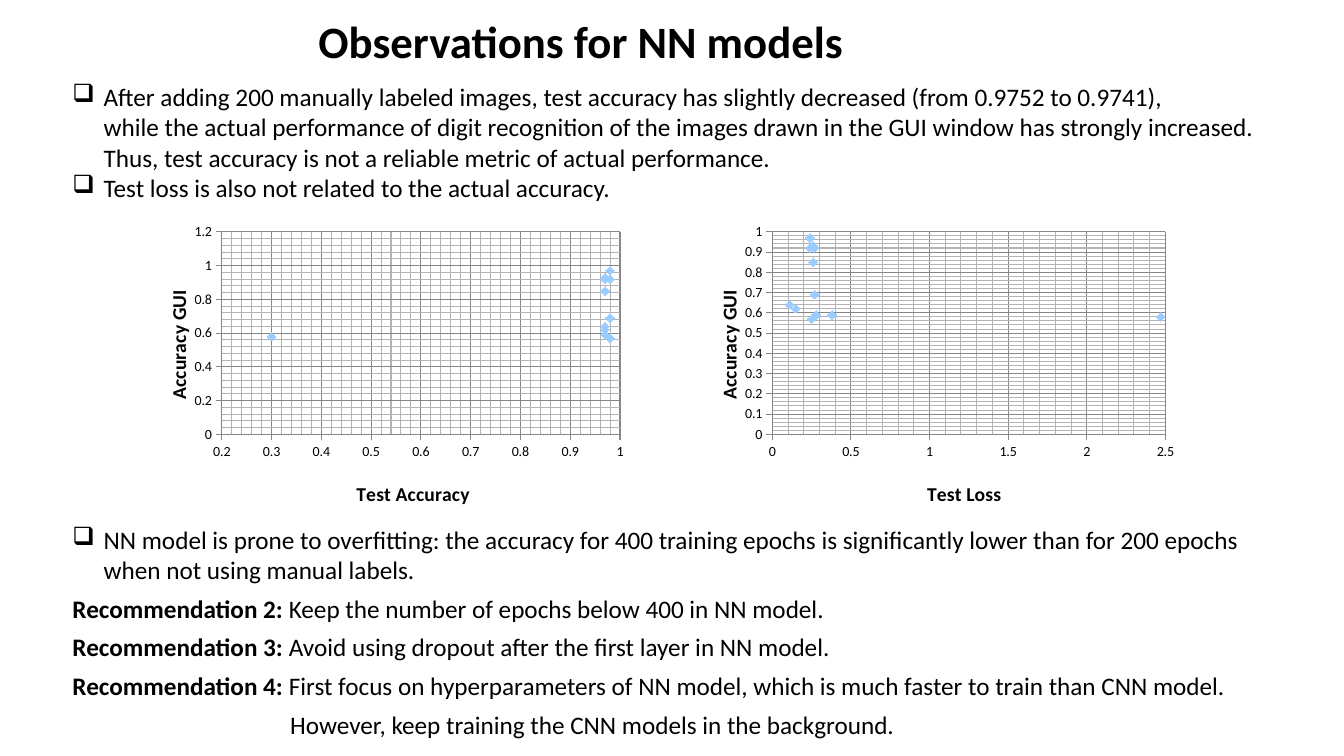
from lxml import etree
from pptx import Presentation
from pptx import util as u
from pptx.chart.data import XyChartData
from pptx.dml.color import RGBColor
from pptx.enum import chart as ch, text as tx
from pptx.oxml.ns import qn

PX = 9144
FONT = "Calibri"
BLACK, BLUE, MAJOR, MINOR = "000000", "99CCFF", "868686", "B3B3B3"
GUI = [0.69, 0.59, 0.57, 0.62, 0.64, 0.58, 0.85, 0.92, 0.92, 0.97, 0.93, 0.59]
ACC = [0.98, 0.97, 0.98, 0.97, 0.97, 0.3, 0.97, 0.98, 0.97, 0.98, 0.97, 0.97]
LOSS = [0.27, 0.28, 0.25, 0.15, 0.11, 2.47, 0.26, 0.24, 0.27, 0.24, 0.26, 0.38]


def px(n):
    return u.Emu(n * PX)


def color(code):
    return RGBColor.from_string(code)


def style(font, size, bold=False):
    font.name, font.size, font.bold = FONT, u.Pt(size), bold
    font.color.rgb = color(BLACK)


def add_run(para, words, size, bold=False):
    run = para.add_run()
    run.text = words
    style(run.font, size, bold)


def add_box(slide, left, top, width, height):
    frame = slide.shapes.add_textbox(px(left), px(top), px(width), px(height)).text_frame
    frame.word_wrap = False
    frame.auto_size = tx.MSO_AUTO_SIZE.SHAPE_TO_FIT_TEXT
    return frame


def add_para(frame, first=False):
    return frame.paragraphs[0] if first else frame.add_paragraph()


def add_bullet(frame, lines, first=False):
    para = add_para(frame, first)
    props = para._p.get_or_add_pPr()
    props.set("marL", str(px(31)))
    props.set("indent", str(-px(31)))
    etree.SubElement(props, qn("a:buChar")).set("char", "❑")
    for i, line in enumerate(lines):
        if i:
            para.add_line_break()
        add_run(para, line, 18)


def add_advice(frame, label, words, indent=0):
    para = add_para(frame)
    para.space_before = u.Pt(6)
    para._p.get_or_add_pPr().set("marL", str(px(indent)))
    if label:
        add_run(para, label, 18, True)
    add_run(para, words, 18)


def place(parent, spot, **more):
    layout = parent.find(qn("c:layout"))
    if layout is None:
        layout = etree.Element(qn("c:layout"))
        parent.insert(spot, layout)
    manual = etree.SubElement(layout, qn("c:manualLayout"))
    for tag, val in more.items():
        etree.SubElement(manual, qn("c:" + tag)).set("val", str(val))


def tint_minor(axis):
    node = axis._element.find(qn("c:minorGridlines"))
    for tag in ("c:spPr", "a:ln", "a:solidFill", "a:srgbClr"):
        node = etree.SubElement(node, qn(tag))
        if tag == "a:ln":
            node.set("w", str(u.Pt(0.75)))
    node.set("val", str(color(MINOR)))


def set_axis(axis, title, low, high, step, left, top):
    axis.minimum_scale, axis.maximum_scale = low, high
    axis.major_unit, axis.minor_unit = step, round(step / 5, 2)
    axis.has_major_gridlines = axis.has_minor_gridlines = True
    axis.major_tick_mark = ch.XL_TICK_MARK.OUTSIDE
    axis.minor_tick_mark = ch.XL_TICK_MARK.NONE
    for line in (axis.format.line, axis.major_gridlines.format.line):
        line.color.rgb, line.width = color(MAJOR), u.Pt(0.75)
    tint_minor(axis)
    labels = axis.tick_labels
    style(labels.font, 10)
    labels.number_format, labels.number_format_is_linked = "General", False
    head = axis.axis_title
    add_run(head.text_frame.paragraphs[0], title, 14, True)
    place(head._element, 1, xMode="edge", yMode="edge", x=left, y=top)


def add_plot(slide, left, xs, width, across, up):
    data = XyChartData()
    series = data.add_series("Series 1")
    for x, y in zip(xs, GUI):
        series.add_data_point(x, y)
    chart = slide.shapes.add_chart(
        ch.XL_CHART_TYPE.XY_SCATTER, px(left), px(215), px(500), px(300), data).chart
    chart.has_legend = chart.has_title = False
    style(chart.font, 10)
    set_axis(chart.category_axis, *across, 0.86)
    set_axis(chart.value_axis, "Accuracy GUI", *up, 0.06, 0.23)
    place(chart._chartSpace.chart.plotArea, 0, layoutTarget="inner", xMode="edge",
          yMode="edge", x=0.18, y=0.05, w=width, h=0.67)
    plot = chart.plots[0]
    plot.vary_by_categories = False
    dots = plot.series[0]
    dots.smooth = False
    dots.format.line.fill.background()
    mark = dots.marker
    mark.style, mark.size = ch.XL_MARKER_STYLE.DIAMOND, 6
    mark.format.fill.solid()
    mark.format.fill.fore_color.rgb = color(BLUE)
    mark.format.line.color.rgb = color(BLUE)


def main():
    deck = Presentation()
    deck.slide_width, deck.slide_height = px(1333), px(750)
    slide = deck.slides.add_slide(deck.slide_layouts[6])

    title = add_box(slide, 306, 9, 546, 64)
    add_run(title.paragraphs[0], "Observations for NN models", 32, True)

    notes = add_box(slide, 62, 76, 1207, 131)
    add_bullet(notes, [
        "After adding 200 manually labeled images, test accuracy has slightly decreased (from 0.9752 to 0.9741),",
        "while the actual performance of digit recognition of the images drawn in the GUI window has strongly increased.",
        "Thus, test accuracy is not a reliable metric of actual performance."], True)
    add_bullet(notes, ["Test loss is also not related to the actual accuracy."])

    advice = add_box(slide, 62, 515, 1192, 226)
    add_bullet(advice, [
        "NN model is prone to overfitting: the accuracy for 400 training epochs is significantly lower than for 200 epochs",
        "when not using manual labels."], True)
    tips = ["Keep the number of epochs below 400 in NN model.",
            "Avoid using dropout after the first layer in NN model.",
            "First focus on hyperparameters of NN model, which is much faster to train than CNN model."]
    for i, tip in enumerate(tips, 2):
        add_advice(advice, f"Recommendation {i}:", " " + tip)
    add_advice(advice, "", "However, keep training the CNN models in the background.", 216)

    add_plot(slide, 130, ACC, 0.79, ("Test Accuracy", 0.2, 1, 0.1, 0.44), (0, 1.2, 0.2))
    add_plot(slide, 676, LOSS, 0.78, ("Test Loss", 0, 2.5, 0.5, 0.48), (0, 1, 0.1))
    deck.save("out.pptx")


if __name__ == "__main__":
    main()
